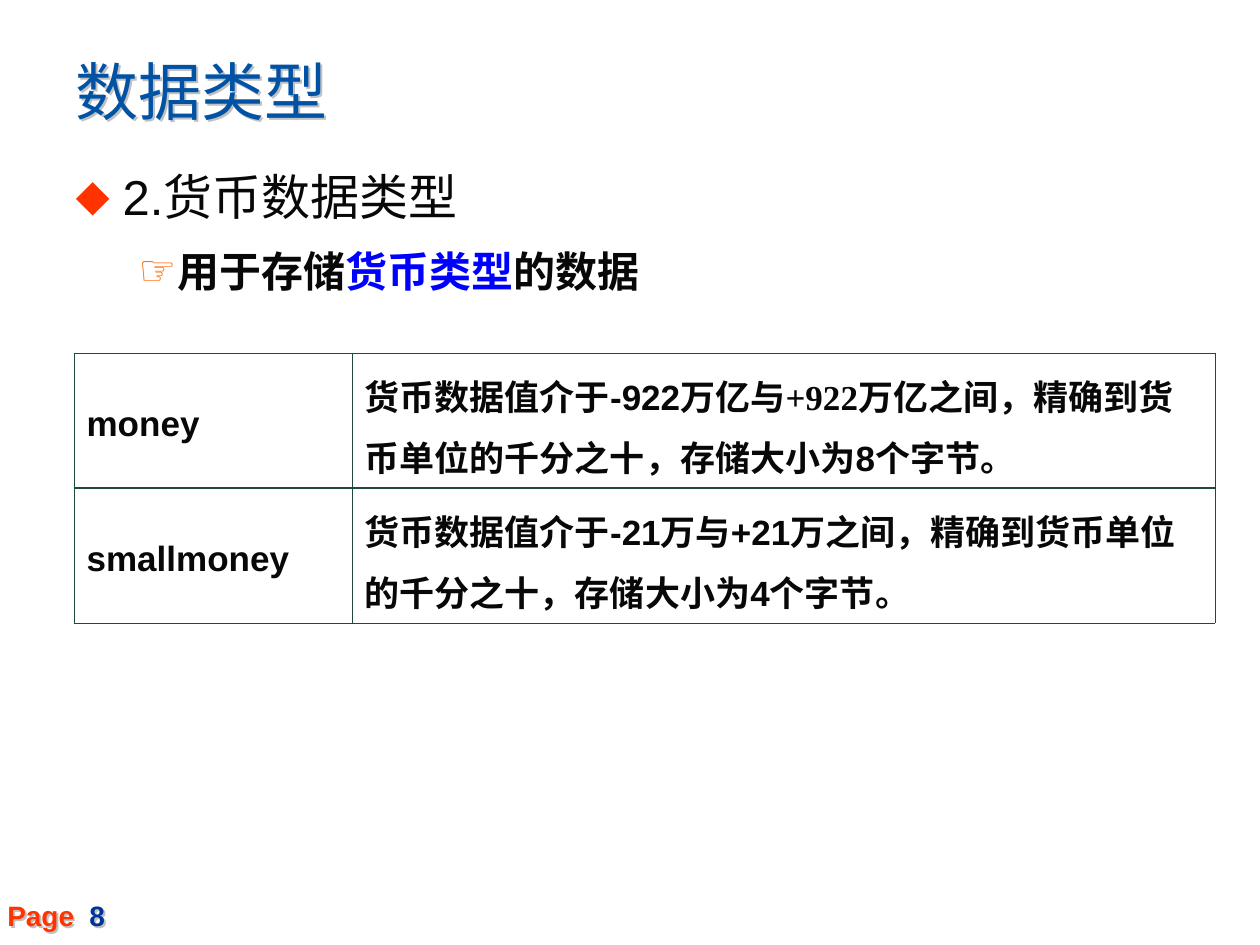
import pptx
import pptx.dml.color
import pptx.enum.text
import pptx.oxml
import pptx.oxml.ns
import pptx.util
from lxml import etree

RGB = pptx.dml.color.RGBColor
ANCHOR = pptx.enum.text.MSO_ANCHOR
ALIGN = pptx.enum.text.PP_ALIGN

TITLE_BLUE = RGB(0x00, 0x52, 0xA4)
PAGE_BLUE = RGB(0x00, 0x33, 0x99)
KEY_BLUE = RGB(0x00, 0x00, 0xFF)
RED = RGB(0xFF, 0x33, 0x00)
ORANGE = RGB(0xFF, 0x66, 0x00)
INK = RGB(0x08, 0x08, 0x08)
GRID_GREEN = RGB(0x1D, 0x49, 0x40)
SHADOW_GREY = RGB(0xC0, 0xC0, 0xC0)

SANS, SERIF = "Arial", "Times New Roman"
SCALE = 914400 // 126

TITLE = "数据类型"
POINTS = [
    dict(runs=[("2.货币数据类型", INK)], level=0, size=28, bold=False,
         before=0, bullet="⬥", bullet_color=RED, indent=47, hang=47),
    dict(runs=[("用于存储", INK), ("货币类型", KEY_BLUE), ("的数据", INK)],
         level=1, size=24, bold=True,
         before=6, bullet="☞", bullet_color=ORANGE, indent=102, hang=39),
]
MONEY_TYPES = [
    ("money", [("货币数据值介于-922万亿与", SANS), ("+922万亿", SERIF),
               ("之间，精确到货币单位的千分之十，存储大小为8个字节。", SANS)]),
    ("smallmoney", [("货币数据值介于-21万与+21万之间，精确到货币单位的千分之十，"
                     "存储大小为4个字节。", SANS)]),
]
COLUMN_WIDTHS = [278, 863]
ROW_HEIGHT = 135
THIN, DIVIDER = 0.45, 1.08
PAGE_RUNS = [("Page", RED), ("\t8", PAGE_BLUE)]


def px(length):
    return pptx.util.Emu(length * SCALE)


def place(shape, left, top, width, height):
    shape.left, shape.top = px(left), px(top)
    shape.width, shape.height = px(width), px(height)


def child(parent, tag, **attributes):
    return etree.SubElement(parent, pptx.oxml.ns.qn(tag), attributes)


def style(font, size, name, color=None, bold=False):
    font.size, font.name, font.bold = pptx.util.Pt(size), name, bold
    if color is not None:
        font.color.rgb = color


def add_run(paragraph, words, color=None):
    run = paragraph.add_run()
    run.text = words
    if color is not None:
        run.font.color.rgb = color
    return run


def cast_shadow(shape):
    shape.fill.background()
    effects = child(shape._element.spPr, "a:effectLst")
    shadow = child(effects, "a:outerShdw", dist="20000", dir="2700000")
    child(shadow, "a:srgbClr", val=str(SHADOW_GREY))


def set_bullet(paragraph, point):
    properties = paragraph._p.get_or_add_pPr()
    properties.set("marL", str(px(point["indent"])))
    properties.set("indent", str(-px(point["hang"])))
    child(child(properties, "a:buClr"), "a:srgbClr", val=str(point["bullet_color"]))
    child(properties, "a:buFont", typeface=SANS)
    child(properties, "a:buChar", char=point["bullet"])


def set_borders(cell, widths):
    properties = cell._tc.get_or_add_tcPr()
    for side, width in zip("LRTB", widths):
        line = child(properties, f"a:ln{side}", w=str(pptx.util.Pt(width)))
        child(child(line, "a:solidFill"), "a:srgbClr", val=str(GRID_GREEN))


def add_title(slide):
    title = slide.shapes.title
    place(title, 63, 56, 1033, 69)
    title.text_frame.vertical_anchor = ANCHOR.MIDDLE
    paragraph = title.text_frame.paragraphs[0]
    paragraph.alignment = ALIGN.LEFT
    add_run(paragraph, TITLE, TITLE_BLUE)
    style(paragraph.font, 36, SERIF)
    cast_shadow(title)


def add_points(slide):
    body = slide.placeholders[1]
    place(body, 63, 148, 1133, 702)
    frame = body.text_frame
    for index, point in enumerate(POINTS):
        paragraph = frame.add_paragraph() if index else frame.paragraphs[0]
        paragraph.level = point["level"]
        set_bullet(paragraph, point)
        paragraph.line_spacing = 1.2
        paragraph.space_before = pptx.util.Pt(point["before"])
        style(paragraph.font, point["size"], SANS, bold=point["bold"])
        for words, color in point["runs"]:
            add_run(paragraph, words, color)


def add_money_table(slide):
    table = slide.shapes.add_table(
        len(MONEY_TYPES), 2, px(74), px(353),
        px(sum(COLUMN_WIDTHS)), px(ROW_HEIGHT * len(MONEY_TYPES))).table
    table.first_row = table.horz_banding = False
    for column, width in zip(table.columns, COLUMN_WIDTHS):
        column.width = px(width)
    last = len(MONEY_TYPES) - 1
    for row, (type_name, description) in enumerate(MONEY_TYPES):
        table.rows[row].height = px(ROW_HEIGHT)
        above = DIVIDER if row > 0 else THIN
        below = DIVIDER if row < last else THIN
        name_cell, description_cell = table.cell(row, 0), table.cell(row, 1)
        name_cell.vertical_anchor = ANCHOR.MIDDLE
        for cell, runs in ((name_cell, [(type_name, SANS)]),
                           (description_cell, description)):
            set_borders(cell, (THIN, THIN, above, below))
            cell.fill.background()
            cell.margin_left = cell.margin_right = pptx.util.Inches(0.1)
            cell.margin_top = cell.margin_bottom = pptx.util.Inches(0.05)
            paragraph = cell.text_frame.paragraphs[0]
            paragraph.line_spacing = 1.2
            style(paragraph.font, 20, SANS, INK, True)
            for words, font_name in runs:
                run = add_run(paragraph, words)
                if font_name != SANS:
                    run.font.name = font_name


def add_page_number(slide):
    page = slide.shapes.add_textbox(px(-5), px(892), px(159), px(47))
    page.text_frame.word_wrap = True
    paragraph = page.text_frame.paragraphs[0]
    tabs = child(paragraph._p.get_or_add_pPr(), "a:tabLst")
    child(tabs, "a:tab", pos=str(px(82)), algn="l")
    style(paragraph.font, 16, SANS, bold=True)
    for words, color in PAGE_RUNS:
        add_run(paragraph, words, color)
    cast_shadow(page)


def main():
    deck = pptx.Presentation()
    deck.slide_width, deck.slide_height = pptx.util.Inches(10), pptx.util.Inches(7.5)
    slide = deck.slides.add_slide(deck.slide_layouts[1])
    add_page_number(slide)
    add_title(slide)
    add_points(slide)
    add_money_table(slide)
    deck.save("out.pptx")


if __name__ == "__main__":
    main()
